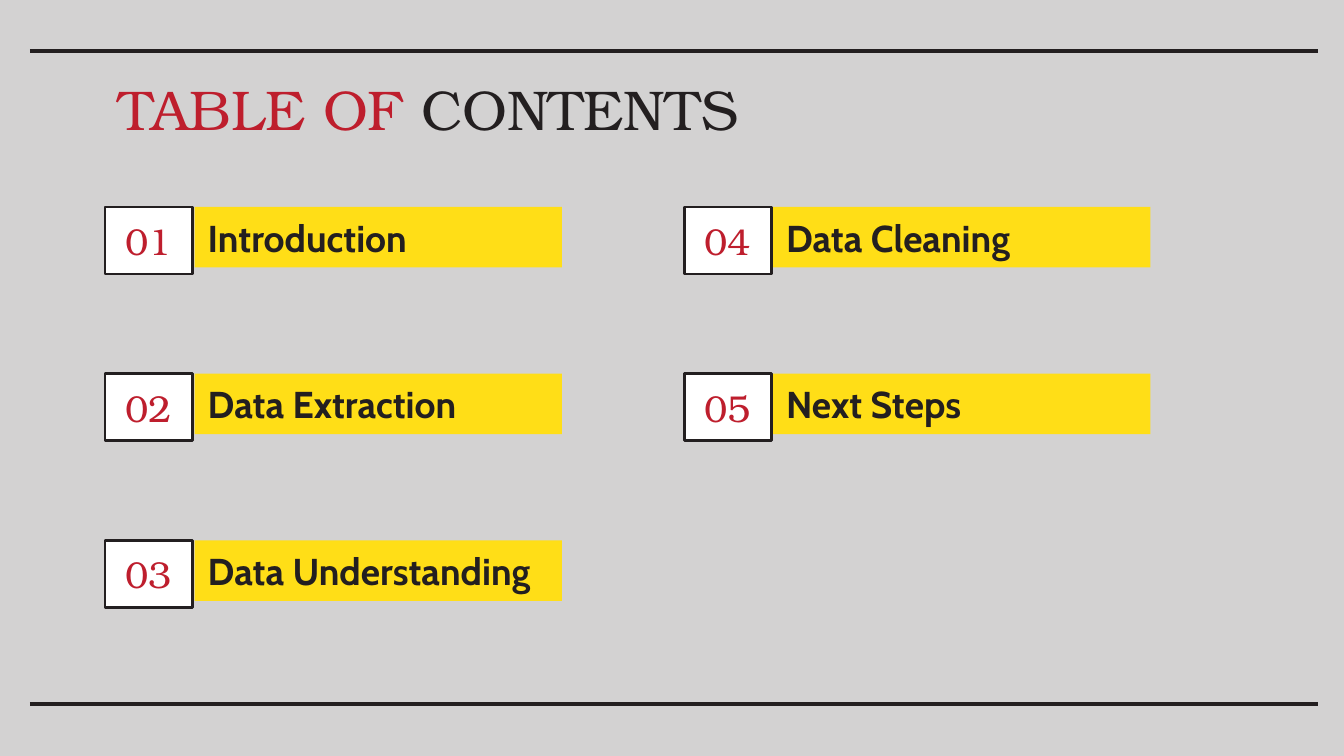
from typing import NamedTuple

from lxml import etree
from pptx import Presentation
from pptx.dml.color import RGBColor
from pptx.enum.shapes import MSO_CONNECTOR, MSO_SHAPE
from pptx.enum.text import MSO_ANCHOR, PP_ALIGN
from pptx.oxml.ns import qn
from pptx.shapes.autoshape import Shape
from pptx.slide import Slide
from pptx.util import Pt

RECTANGLE = MSO_SHAPE.RECTANGLE
STRAIGHT = MSO_CONNECTOR.STRAIGHT
MIDDLE = MSO_ANCHOR.MIDDLE
LEFT, CENTER = PP_ALIGN.LEFT, PP_ALIGN.CENTER

COLORS = {
    "background": "D3D2D2",
    "ink": "231F20",
    "red": "BE1E2D",
    "yellow": "FFDE17",
    "white": "FFFFFF",
}
SERIF, SANS = "TeX Gyre Bonum", "Cabin"

FIRST_ROW, ROW_PITCH = 110.9, 89.3
NUMBER_WIDTH, NUMBER_HEIGHT, LABEL_HEIGHT = 46.8, 36, 32.4
INSET = 7.2


class Column(NamedTuple):
    number_left: float
    label_left: float
    label_right: float
    topics: tuple[str, ...]


COLUMNS = (
    Column(56.2, 104.2, 301, ("Introduction", "Data Extraction", "Data Understanding")),
    Column(366.5, 414, 616.3, ("Data Cleaning", "Next Steps")),
)


def color(name: str) -> RGBColor:
    return RGBColor.from_string(COLORS[name])


def write(box: Shape, text: str, *, font: str, size: float, ink: str,
          bold: bool = False, align: PP_ALIGN = LEFT) -> None:
    """Append a formatted span to the first paragraph of a box."""
    frame = box.text_frame
    frame.word_wrap = True
    frame.vertical_anchor = MIDDLE
    frame.margin_left = frame.margin_right = Pt(INSET)
    frame.margin_top = frame.margin_bottom = Pt(INSET)
    para = frame.paragraphs[0]
    para.alignment = align
    span = para.add_run()
    span.text = text
    span.font.name = font
    span.font.size = Pt(size)
    span.font.bold = bold
    span.font.color.rgb = color(ink)


def add_rectangle(page: Slide, left: float, top: float, width: float,
                  height: float, fill: str, outline: str | None = None) -> Shape:
    box = page.shapes.add_shape(RECTANGLE, Pt(left), Pt(top), Pt(width), Pt(height))
    box.shadow.inherit = False
    box.fill.solid()
    box.fill.fore_color.rgb = color(fill)
    if outline:
        box.line.color.rgb = color(outline)
        box.line.width = Pt(1.5)
    else:
        box.line.fill.background()
    return box


def add_rule(page: Slide, left: float, right: float, top: float) -> None:
    rule = page.shapes.add_connector(STRAIGHT, Pt(left), Pt(top), Pt(right), Pt(top))
    rule.line.color.rgb = color("ink")
    rule.line.width = Pt(2.25)
    etree.SubElement(rule._element.spPr, qn("a:effectLst"))


def add_entry(page: Slide, column: Column, top: float, number: int, topic: str) -> None:
    label = add_rectangle(page, column.label_left, top,
                          column.label_right - column.label_left, LABEL_HEIGHT, "yellow")
    write(label, topic, font=SANS, size=20, ink="ink", bold=True)
    box = add_rectangle(page, column.number_left, top,
                        NUMBER_WIDTH, NUMBER_HEIGHT, "white", "ink")
    write(box, f"{number:02}", font=SERIF, size=20, ink="red", align=CENTER)


def main() -> None:
    deck = Presentation()
    deck.slide_width, deck.slide_height = Pt(720), Pt(405)
    page = deck.slides.add_slide(deck.slide_layouts[6])
    page.background.fill.solid()
    page.background.fill.fore_color.rgb = color("background")

    # Rules at the top and bottom
    for top in (27.3, 377.2):
        add_rule(page, 16, 706.2, top)

    # Heading
    heading = page.shapes.add_textbox(Pt(56.2), Pt(35.3), Pt(607), Pt(45.4))
    write(heading, "TABLE OF", font=SERIF, size=30, ink="red")
    write(heading, " CONTENTS", font=SERIF, size=30, ink="ink")

    # Numbered entries, running down each column
    number = 1
    for column in COLUMNS:
        for row, topic in enumerate(column.topics):
            add_entry(page, column, FIRST_ROW + row * ROW_PITCH, number, topic)
            number += 1

    deck.save("out.pptx")


if __name__ == "__main__":
    main()
